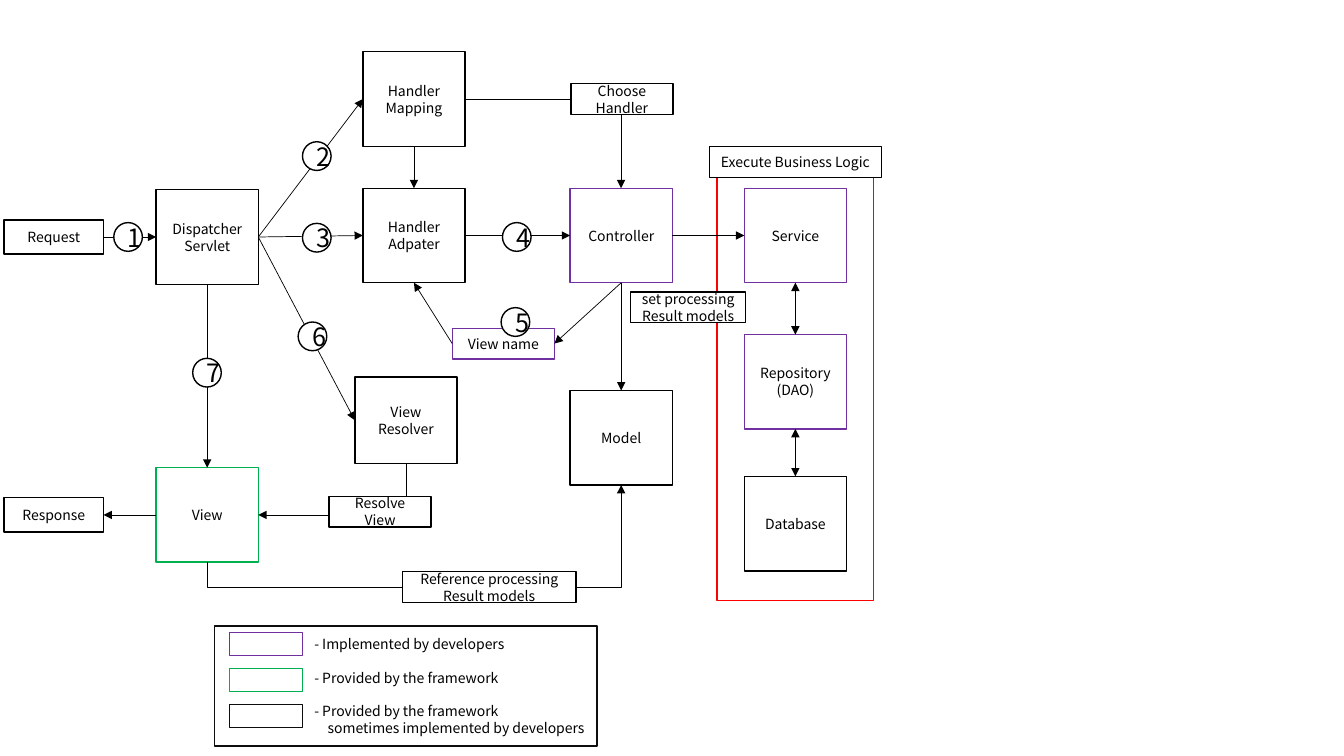
from dataclasses import dataclass

from lxml import etree
from pptx import Presentation
from pptx import util as u
from pptx.dml.color import RGBColor
from pptx.enum import shapes, text
from pptx.oxml.ns import qn

FONT = "Noto Sans CJK KR"
BLACK, INK, WHITE = "000000", "0D0D0D", "FFFFFF"
PURPLE, GREEN, RED = "7030A0", "00B050", "FF0000"
WIDTH, HEIGHT = u.Inches(13.33), u.Inches(7.5)

# Centres of columns and rows, in percent of the slide's width and height
EDGE, SERVLET, ADAPTER, CONTROLLER, SERVICE = 4.0, 15.42, 30.8, 46.22, 59.18
TOP, MAIN, ENTRY, LOWER, BOTTOM = 13.1, 31.15, 31.35, 57.9, 68.12
BOX, TERMINAL, TAG = (7.6, 12.5), (7.4, 4.55), (7.6, 4.05)
BADGE, SWATCH = (2.13, 3.8), (5.4, 3.1)
SITE = {"top": 0, "left": 1, "bottom": 2, "right": 3}


@dataclass(frozen=True)
class Node:
    key: str
    label: str
    x: float
    y: float
    size: tuple[float, float] = BOX
    color: str = BLACK


@dataclass(frozen=True)
class Arrow:
    start: str
    leave: str
    end: str
    enter: str
    both_ways: bool = False
    bend: str = ""  # preset name of a bent connector
    turned: bool = False  # the bent connector is rotated by 90 degrees
    flipped: bool = False
    adjust: int = 0


NODES = [
    Node("region", "", SERVICE, 50, (11.63, 58.9), RED),
    Node("request", "Request", EDGE, ENTRY, TERMINAL),
    Node("servlet", "Dispatcher Servlet", SERVLET, ENTRY),
    Node("mapping", "Handler\nMapping", ADAPTER, TOP),
    Node("adapter", "Handler\nAdpater", ADAPTER, MAIN),
    Node("controller", "Controller", CONTROLLER, MAIN, color=PURPLE),
    Node("view name", "View name", 37.45, 45.45, TAG, PURPLE),
    Node("resolver", "View\nResolver", 30.2, 55.6, (7.6, 11.5)),
    Node("model", "Model", CONTROLLER, LOWER),
    Node("view", "View", SERVLET, BOTTOM, color=GREEN),
    Node("response", "Response", EDGE, BOTTOM, TERMINAL),
    Node("service", "Service", SERVICE, MAIN, color=PURPLE),
    Node("repository", "Repository\n(DAO)", SERVICE, 50.5, color=PURPLE),
    Node("database", "Database", SERVICE, 69.27),
]
ARROWS = [
    Arrow("request", "right", "servlet", "left"),
    Arrow("servlet", "right", "mapping", "left"),
    Arrow("servlet", "right", "adapter", "left"),
    Arrow("servlet", "right", "resolver", "left"),
    Arrow("servlet", "bottom", "view", "top"),
    Arrow("mapping", "bottom", "adapter", "top"),
    Arrow("adapter", "right", "controller", "left"),
    Arrow("controller", "bottom", "view name", "right"),
    Arrow("view name", "left", "adapter", "bottom"),
    Arrow("controller", "bottom", "model", "top"),
    Arrow("controller", "right", "service", "left"),
    Arrow("view", "left", "response", "right"),
    Arrow("service", "bottom", "repository", "top", both_ways=True),
    Arrow("repository", "bottom", "database", "top", both_ways=True),
    Arrow("mapping", "right", "controller", "top", bend="bentConnector2"),
    Arrow("resolver", "bottom", "view", "right", bend="bentConnector2", turned=True),
    Arrow("view", "bottom", "model", "bottom", bend="bentConnector3",
          turned=True, flipped=True, adjust=-32700),
]
TAGS = [
    Node("choose", "Choose\nHandler", 46.27, TOP, TAG),
    Node("resolve", "Resolve View", 28.28, 67.7, TAG),
    Node("reference", "Reference processing\nResult models", 36.4, 77.65, (12.9, 4.05)),
    Node("set", "set processing\nResult models", 51.2, 40.65, (8.55, 4.05)),
    Node("execute", "Execute Business Logic", SERVICE, 21.45, (12.8, 4.05)),
]
BADGE_CENTRES = [(9.53, ENTRY), (23.57, 20.65), (23.57, 31.45), (38.45, ENTRY),
                 (38.35, 42.6), (23.25, 44.5), (15.4, 49.3)]
LEGEND = Node("legend", "- Implemented by developers\n- Provided by the framework\n"
              "- Provided by the framework\nsometimes implemented by developers",
              30.2, 90.73, (28.43, 15.87), INK)


def across(percent: float) -> int:
    return round(WIDTH * percent / 100)


def down(percent: float) -> int:
    return round(HEIGHT * percent / 100)


def rgb(color: str) -> RGBColor:
    return RGBColor.from_string(color)


def draw_node(page, node: Node, kind=shapes.MSO_SHAPE.RECTANGLE, points: int = 10):
    wide, high = node.size
    box = page.shapes.add_shape(kind, across(node.x - wide / 2), down(node.y - high / 2),
                                across(wide), down(high))
    box.shadow.inherit = False
    box.fill.solid()
    box.fill.fore_color.rgb = rgb(WHITE)
    box.line.color.rgb = rgb(node.color)
    box.line.width = u.Pt(1)
    if node.label:
        frame = box.text_frame
        frame.word_wrap = True
        frame.vertical_anchor = text.MSO_ANCHOR.MIDDLE
        frame.text = node.label
        for para in frame.paragraphs:
            para.alignment = text.PP_ALIGN.CENTER
            para.font.name = FONT
            para.font.size = u.Pt(points)
            para.font.color.rgb = rgb(BLACK)
    return box


def bend(link, arrow: Arrow) -> None:
    """Turn a connected elbow into the preset its arrow asks for."""
    properties = link._element.spPr
    geometry = properties.find(qn("a:prstGeom"))
    geometry.set("prst", arrow.bend)
    if arrow.adjust:
        guides = geometry.get_or_add_avLst()
        etree.SubElement(guides, qn("a:gd"), name="adj1", fmla=f"val {arrow.adjust}")
    if arrow.turned:
        middle_x = (link.begin_x + link.end_x) // 2
        middle_y = (link.begin_y + link.end_y) // 2
        link.width, link.height = link.height, link.width
        link.left, link.top = middle_x - link.width // 2, middle_y - link.height // 2
        properties.xfrm.set("rot", "5400000")
        properties.xfrm.flipH = properties.xfrm.flipV = arrow.flipped


def draw_arrow(page, arrow: Arrow, boxes: dict) -> None:
    kind = shapes.MSO_CONNECTOR.ELBOW if arrow.bend else shapes.MSO_CONNECTOR.STRAIGHT
    link = page.shapes.add_connector(kind, 0, 0, 0, 0)
    link.begin_connect(boxes[arrow.start], SITE[arrow.leave])
    link.end_connect(boxes[arrow.end], SITE[arrow.enter])
    if arrow.bend:
        bend(link, arrow)
    link.line.color.rgb = rgb(BLACK)
    link.line.width = u.Pt(0.5)
    line = link.line._get_or_add_ln()
    for end in ["headEnd", "tailEnd"] if arrow.both_ways else ["tailEnd"]:
        etree.SubElement(line, qn(f"a:{end}"), type="triangle")
    etree.SubElement(link._element.spPr, qn("a:effectLst"))


def draw_legend(page) -> None:
    frame = draw_node(page, LEGEND).text_frame
    frame.margin_left, frame.margin_right = across(7.4), 0
    for para in frame.paragraphs:
        para.alignment = text.PP_ALIGN.LEFT
    for para in frame.paragraphs[1:3]:
        para.space_before = u.Pt(12)
    frame.paragraphs[3]._p.get_or_add_pPr().set("marL", str(across(1)))
    for row, color in enumerate([PURPLE, GREEN, INK]):
        draw_node(page, Node("swatch", "", 19.8, 85.2 + 4.75 * row, SWATCH, color))


def main() -> None:
    deck = Presentation()
    deck.slide_width, deck.slide_height = WIDTH, HEIGHT
    page = deck.slides.add_slide(deck.slide_layouts[6])
    boxes = {node.key: draw_node(page, node) for node in NODES}
    for arrow in ARROWS:
        draw_arrow(page, arrow, boxes)
    for number, (x, y) in enumerate(BADGE_CENTRES, start=1):
        draw_node(page, Node("badge", str(number), x, y, BADGE),
                  shapes.MSO_SHAPE.FLOWCHART_CONNECTOR, 18)
    for tag in TAGS:
        draw_node(page, tag)
    draw_legend(page)
    deck.save("out.pptx")


if __name__ == "__main__":
    main()
